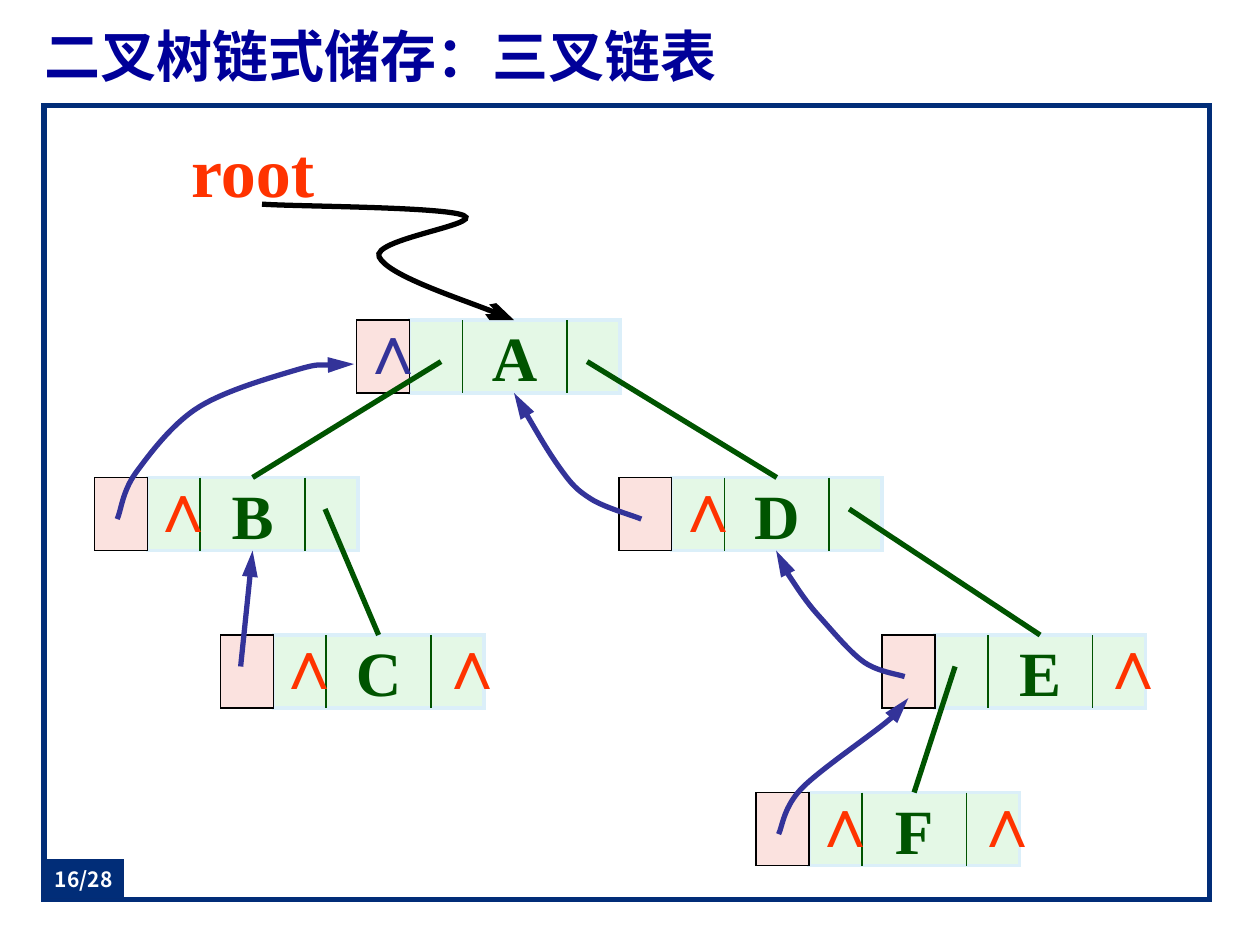
import dataclasses
import typing

import pptx
import pptx.dml.color
import pptx.enum.shapes
import pptx.enum.text
import pptx.oxml
import pptx.oxml.ns
import pptx.util

PX = 9144
SERIF, SANS = "Times New Roman", "Noto Sans CJK SC"
NAVY, BLUE, GREEN, RED, BLACK, WHITE = "012D78", "333399", "005400", "FF3300", "000000", "FFFFFF"
CELL_W, DATA_W, NODE_H = 42, 167, 58
FIRST_LEVEL_Y, LEVEL_GAP = 254, 125
NULL_OFFSETS = {"parent": 2, "left": 44, "right": 173}
TOP, BOTTOM = 0, 2
ALIGN = pptx.enum.text.PP_ALIGN
RECT = pptx.enum.shapes.MSO_SHAPE.RECTANGLE
STRAIGHT = pptx.enum.shapes.MSO_CONNECTOR.STRAIGHT
qn = pptx.oxml.ns.qn


class Point(typing.NamedTuple):
    x: int
    y: int


@dataclasses.dataclass
class Node:
    name: str
    x: int
    level: int
    null_fields: tuple[str, ...] = ()

    @property
    def y(self) -> int:
        return FIRST_LEVEL_Y + LEVEL_GAP * self.level

    def at(self, dx: int, dy: int) -> Point:
        return Point(self.x + dx, self.y + dy)

    def middle(self, dy: int) -> Point:
        return self.at(CELL_W + DATA_W // 2, dy)

    def parent_field(self) -> Point:
        return self.at(18, 33)


@dataclasses.dataclass
class ChildLink:
    parent: Node
    child: Node
    dx: int
    dy: int


@dataclasses.dataclass
class Curve:
    start: Point
    bends: list[Point]
    end: Point
    color: str = BLUE
    arrow: str = "triangle"


A = Node("A", 283, 0, ("parent",))
B = Node("B", 75, 1, ("left",))
C = Node("C", 175, 2, ("left", "right"))
D = Node("D", 491, 1, ("left",))
E = Node("E", 700, 2, ("right",))
F = Node("F", 600, 3, ("left", "right"))
NODES = [F, E, D, A, B, C]
CHILD_LINKS = [
    ChildLink(A, D, 183, 33),
    ChildLink(B, C, 183, 25),
    ChildLink(D, E, 183, 25),
    ChildLink(E, F, 58, 25),
    ChildLink(A, B, 67, 33),
]
ROOT_CURVE = Curve(Point(208, 162), [Point(368, 171), Point(301, 204)],
                   A.middle(0), BLACK, "arrow")
PARENT_CURVES = [
    Curve(B.parent_field(), [Point(108, 375), Point(158, 323), Point(234, 294)], A.at(-2, 35)),
    Curve(D.parent_field(), [Point(469, 396), Point(444, 371)], A.middle(NODE_H)),
    Curve(E.parent_field(), [Point(685, 525), Point(650, 489), Point(627, 458)],
          D.middle(NODE_H)),
    Curve(F.parent_field(), [Point(637, 625), Point(706, 571)], E.at(21, 50)),
]


def px(*values: int) -> list[int]:
    return [v * PX for v in values]


def rgb(color: str) -> pptx.dml.color.RGBColor:
    return pptx.dml.color.RGBColor.from_string(color)


def sub(parent: typing.Any, tag: str, **attrs: str) -> typing.Any:
    child = pptx.oxml.parse_xml(f"<{tag} {pptx.oxml.ns.nsdecls('a')}/>")
    for key, value in attrs.items():
        child.set(key, value)
    parent.append(child)
    return child


def style_line(line: typing.Any, color: str, width: float) -> None:
    line.color.rgb = rgb(color)
    line.width = pptx.util.Pt(width)
    sub(line._get_or_add_ln(), "a:miter", lim="800000")


def add_arrowhead(s: typing.Any, arrow: str) -> None:
    sub(s.line._get_or_add_ln(), "a:tailEnd", type=arrow, w="med", len="lg")


def write(s: typing.Any, text: str, *, size: int, color: str, font: str = SERIF,
          align: ALIGN = ALIGN.CENTER, wrap: bool = False,
          middle: bool = True, inset: bool = True) -> None:
    tf = s.text_frame
    tf.word_wrap = wrap
    tf.auto_size = pptx.enum.text.MSO_AUTO_SIZE.NONE
    anchor = pptx.enum.text.MSO_ANCHOR
    tf.vertical_anchor = anchor.MIDDLE if middle else anchor.TOP
    if not inset:
        tf.margin_left = tf.margin_top = tf.margin_right = tf.margin_bottom = 0
    p = tf.paragraphs[0]
    p.alignment = align
    r = p.add_run()
    r.text = text
    r.font.name, r.font.bold = font, True
    r.font.size = pptx.util.Pt(size)
    r.font.color.rgb = rgb(color)


def add_rect(sp: typing.Any, x: int, y: int, w: int, h: int, fill: str, line: str,
             width: float, alpha: int = 100) -> typing.Any:
    s = sp.add_shape(RECT, *px(x, y, w, h))
    s.shadow.inherit = False
    s.fill.solid()
    s.fill.fore_color.rgb = rgb(fill)
    if alpha < 100:
        clr = s._element.spPr.find(".//" + qn("a:srgbClr"))
        sub(clr, "a:alpha", val=str(alpha * 1000))
    style_line(s.line, line, width)
    return s


def add_label(sp: typing.Any, x: int, y: int, w: int, text: str, color: str) -> None:
    s = sp.add_textbox(*px(x, y, w, 77))
    write(s, text, size=40, color=color, middle=False)


def add_line(sp: typing.Any, start: Point, end: Point, color: str, width: float) -> typing.Any:
    s = sp.add_connector(STRAIGHT, *px(*start, *end))
    style_line(s.line, color, width)
    sub(s._element.spPr, "a:effectLst")
    return s


def add_node(sp: typing.Any, node: Node) -> typing.Any:
    group = sp.add_group_shape().shapes
    data = add_rect(group, node.x + CELL_W, node.y, DATA_W, NODE_H, "CAF2CE", "DBEFF9", 2, alpha=50)
    write(data, node.name, size=36, color=GREEN)
    for dx in (2 * CELL_W, DATA_W):
        add_line(group, node.at(dx, 0), node.at(dx, NODE_H), GREEN, 1)
    add_rect(group, node.x, node.y, CELL_W, NODE_H, "FBE2DF", BLACK, 1)
    return data


def bezier_points(knots: list[Point]) -> list[Point]:
    padded = [knots[0], *knots, knots[-1]]
    points = []
    for before, a, b, after in zip(padded, padded[1:], padded[2:], padded[3:]):
        leave = Point(*(round(q + (t - o) / 6) for o, q, t in zip(before, a, b)))
        arrive = Point(*(round(q - (t - o) / 6) for o, q, t in zip(a, b, after)))
        points += [leave, arrive, b]
    return points


def add_curve(sp: typing.Any, curve: Curve) -> None:
    builder = sp.build_freeform(*curve.start, scale=PX)
    builder.add_line_segments(bezier_points([curve.start, *curve.bends, curve.end]), close=False)
    s = builder.convert_to_shape()
    s.shadow.inherit = False
    s.fill.background()
    style_line(s.line, curve.color, 3)
    add_arrowhead(s, curve.arrow)
    segments = list(s._element.iter(qn("a:lnTo")))
    outline = segments[0].getparent()
    for i in range(0, len(segments), 3):
        bezier = sub(outline, "a:cubicBezTo")
        for segment in segments[i:i + 3]:
            bezier.append(segment.find(qn("a:pt")))
            outline.remove(segment)


def main() -> None:
    prs = pptx.Presentation()
    prs.slide_width, prs.slide_height = px(1000, 750)
    sp = prs.slides.add_slide(prs.slide_layouts[5]).shapes
    title = sp.title
    title.left, title.top, title.width, title.height = px(35, 13, 925, 62)
    write(title, "二叉树链式储存：三叉链表", size=32, color="000099",
          align=ALIGN.JUSTIFY, wrap=True, inset=False)
    add_rect(sp, 35, 84, 925, 630, WHITE, NAVY, 3)
    add_label(sp, 141, 96, 119, "root", RED)

    data = {node.name: add_node(sp, node) for node in NODES}
    for node in NODES:
        for field in node.null_fields:
            x, y = node.at(NULL_OFFSETS[field], -17)
            add_label(sp, x, y, 54, "∧", BLUE if field == "parent" else RED)
    for link in CHILD_LINKS:
        s = add_line(sp, link.parent.at(link.dx, link.dy), link.child.middle(0), GREEN, 3)
        s.end_connect(data[link.child.name], TOP)
    for curve in [ROOT_CURVE, *PARENT_CURVES]:
        add_curve(sp, curve)
    s = add_line(sp, C.at(16, 25), B.middle(NODE_H), BLUE, 3)
    s.end_connect(data["B"], BOTTOM)
    add_arrowhead(s, "triangle")

    badge = add_rect(sp, 35, 682, 63, 31, NAVY, "032C75", 0.75)
    write(badge, "16/28", size=12, color=WHITE, font=SANS, wrap=True, inset=False)
    prs.save("out.pptx")


if __name__ == "__main__":
    main()
